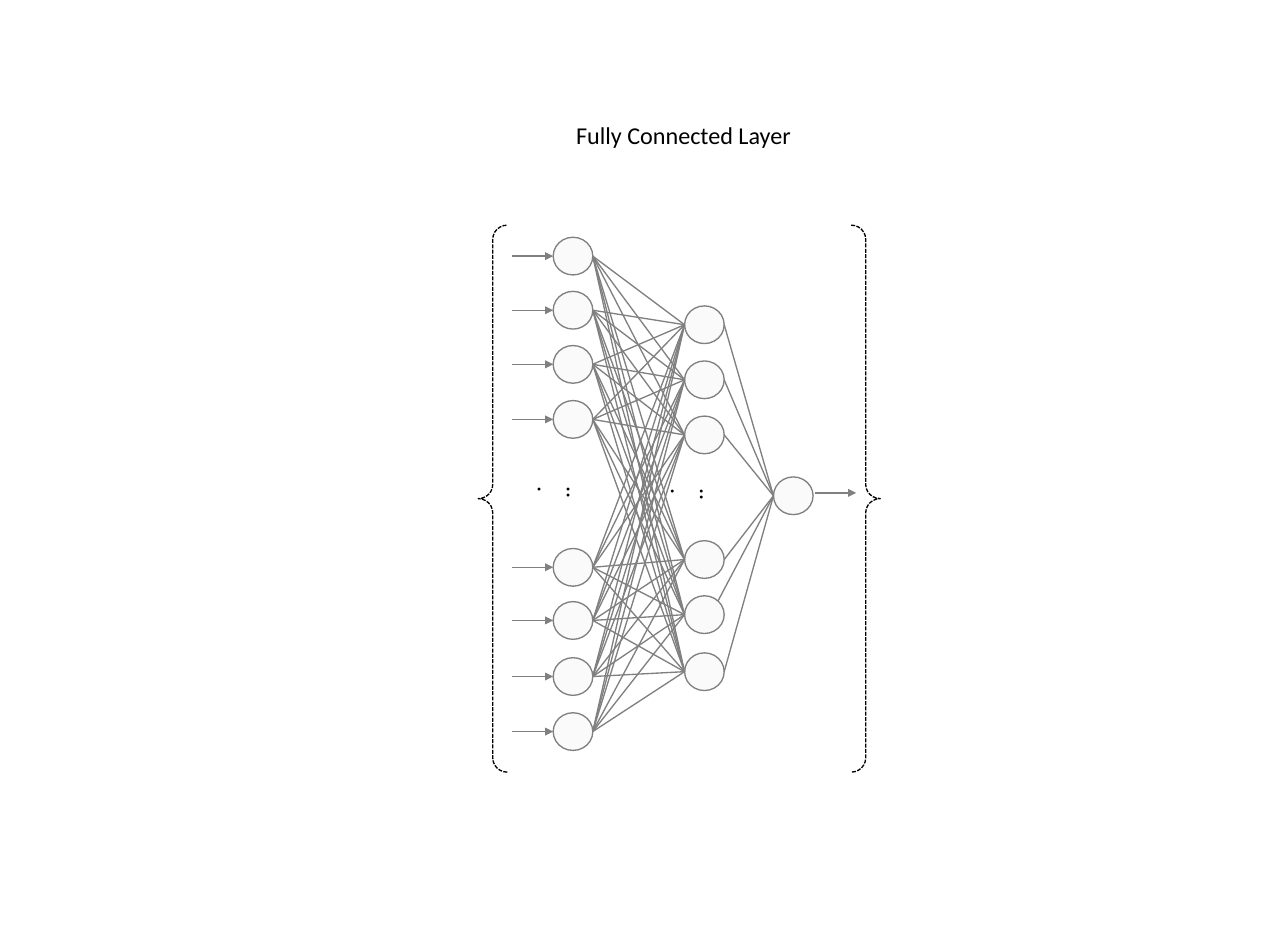
import pptx
import pptx.util
import pptx.dml.color
import pptx.enum.dml
import pptx.enum.shapes
import pptx.enum.text
import pptx.oxml
import pptx.oxml.ns
import lxml.etree

Inches = pptx.util.Inches
Pt = pptx.util.Pt
RGB = pptx.dml.color.RGBColor
SHAPE = pptx.enum.shapes.MSO_SHAPE
qn = pptx.oxml.ns.qn

BLACK = RGB(0x00, 0x00, 0x00)
GREY = RGB(0x80, 0x80, 0x80)
PALE = RGB(0xFA, 0xFA, 0xFA)
FONT = "Calibri"

NODE_W, NODE_H = 0.41, 0.39
# Node centres, measured from the top left of the network box
IN_X, IN_Y = 0.98, [0.32, 0.88, 1.44, 2.01, 3.54, 4.09, 4.67, 5.24]
MID_X, MID_Y = 2.34, [1.03, 1.6, 2.17, 3.46, 4.03, 4.62]
OUT_X, OUT_Y = 3.26, 2.8


def write(frame, text):
    para = frame.paragraphs[0]
    run = para.add_run()
    run.text = text
    run.font.size = Pt(18)
    run.font.name = FONT
    run.font.color.rgb = BLACK
    return para


def add_node(parts, x, y):
    node = parts.add_shape(SHAPE.OVAL, Inches(x - NODE_W / 2), Inches(y - NODE_H / 2),
                           Inches(NODE_W), Inches(NODE_H))
    node.shadow.inherit = False
    node.fill.solid()
    node.fill.fore_color.rgb = PALE
    node.line.color.rgb = GREY
    node.line.width = Pt(1)


def add_line(parts, x1, y1, x2, y2, arrow=False):
    line = parts.add_connector(pptx.enum.shapes.MSO_CONNECTOR.STRAIGHT,
                               Inches(x1), Inches(y1), Inches(x2), Inches(y2))
    line.line.color.rgb = GREY
    line.line.width = Pt(1)
    if arrow:
        lxml.etree.SubElement(line.line._get_or_add_ln(), qn("a:tailEnd"), type="triangle")
    lxml.etree.SubElement(line._element.spPr, qn("a:effectLst"))


def add_brace(parts, kind, x, y, w, h):
    brace = parts.add_shape(kind, Inches(x), Inches(y), Inches(w), Inches(h))
    brace.adjustments[0] = 0.49
    brace.adjustments[1] = 0.5
    brace.shadow.inherit = False
    brace.fill.background()
    brace.line.color.rgb = BLACK
    brace.line.width = Pt(1)
    # MSO "square dot" is the sysDash preset's closest name in the file format
    lxml.etree.SubElement(brace.line._get_or_add_ln(), qn("a:prstDash"), val="sysDash")


def add_dots(parts, x, y):
    w, h = 0.37, 0.4
    box = parts.add_textbox(Inches(x), Inches(y), Inches(w), Inches(h))
    box.rotation = 90
    box.text_frame.word_wrap = True
    write(box.text_frame, "...")


def add_title(slide, x, y, w, h):
    title = slide.shapes.title
    title.left, title.top = Inches(x), Inches(y)
    title.width, title.height = Inches(w), Inches(h)
    frame = title.text_frame
    frame.auto_size = pptx.enum.text.MSO_AUTO_SIZE.NONE
    frame.word_wrap = False
    frame.vertical_anchor = pptx.enum.text.MSO_ANCHOR.MIDDLE
    write(frame, "Fully Connected Layer").alignment = pptx.enum.text.PP_ALIGN.CENTER


def add_net(slide, x, y, w, h):
    parts = slide.shapes.add_group_shape().shapes
    half = NODE_W / 2

    # Gaps in the two layers
    add_dots(parts, x + 0.83, y + 2.59)
    add_dots(parts, x + 2.21, y + 2.61)

    # Nodes
    columns = [(IN_X, IN_Y), (MID_X, MID_Y), (OUT_X, [OUT_Y])]
    for col, rows in columns:
        for row in rows:
            add_node(parts, x + col, y + row)

    # Links from each layer to the next
    for mid in MID_Y:
        for row in IN_Y:
            add_line(parts, x + IN_X + half, y + row, x + MID_X - half, y + mid)
        # One link leaves its node from the upper right
        dx, dy = (0.14, -0.14) if mid == MID_Y[4] else (half, 0)
        add_line(parts, x + MID_X + dx, y + mid + dy, x + OUT_X - half, y + OUT_Y)

    # Arrows in and out
    for row in IN_Y:
        add_line(parts, x + 0.35, y + row, x + IN_X - half, y + row, arrow=True)
    add_line(parts, x + 3.48, y + 2.77, x + 3.91, y + 2.77, arrow=True)

    # Braces on both sides
    wide = 0.3
    add_brace(parts, SHAPE.LEFT_BRACE, x, y, wide, h)
    add_brace(parts, SHAPE.RIGHT_BRACE, x + w - wide, y, wide, h)


def main():
    deck = pptx.Presentation()
    deck.slide_width, deck.slide_height = Inches(13.33), Inches(9.84)
    slide = deck.slides.add_slide(deck.slide_layouts[5])
    add_title(slide, 5.85, 1.2, 2.45, 0.4)
    add_net(slide, 4.95, 2.33, 4.16, 5.66)
    deck.save("out.pptx")


if __name__ == "__main__":
    main()
